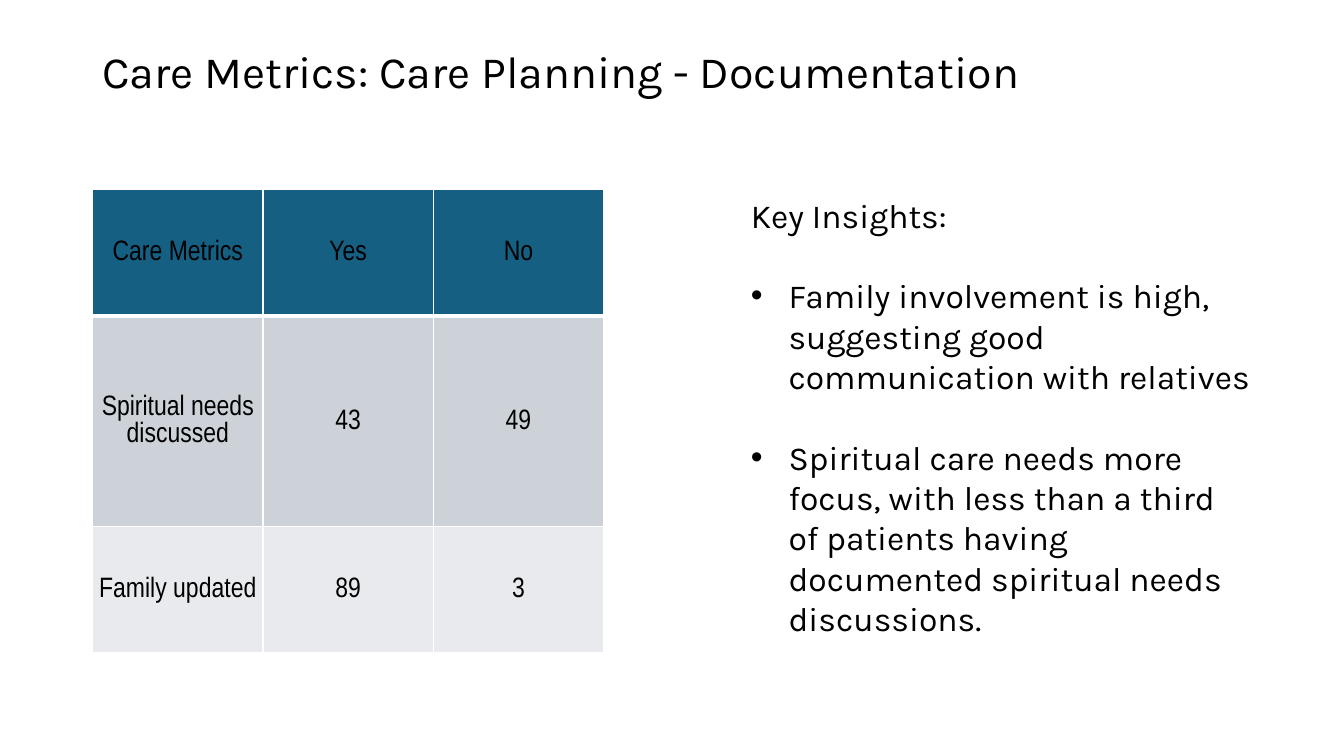
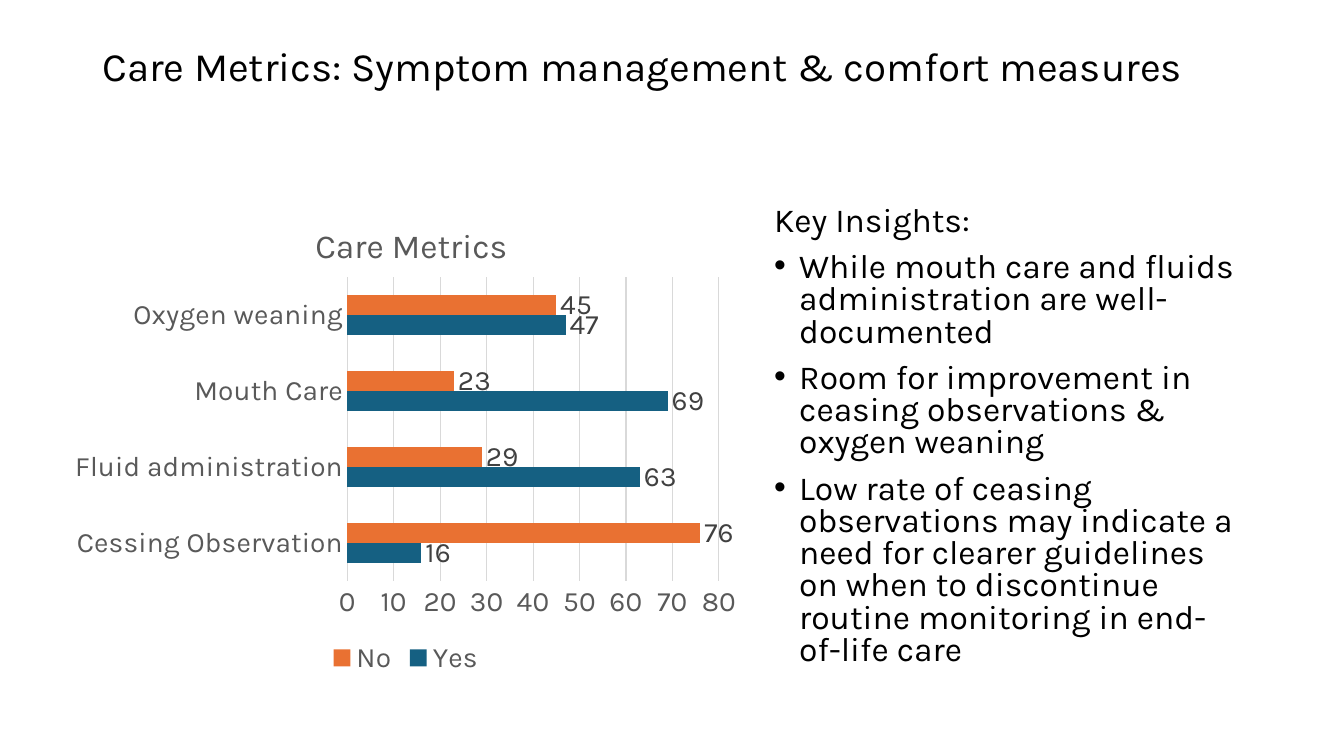
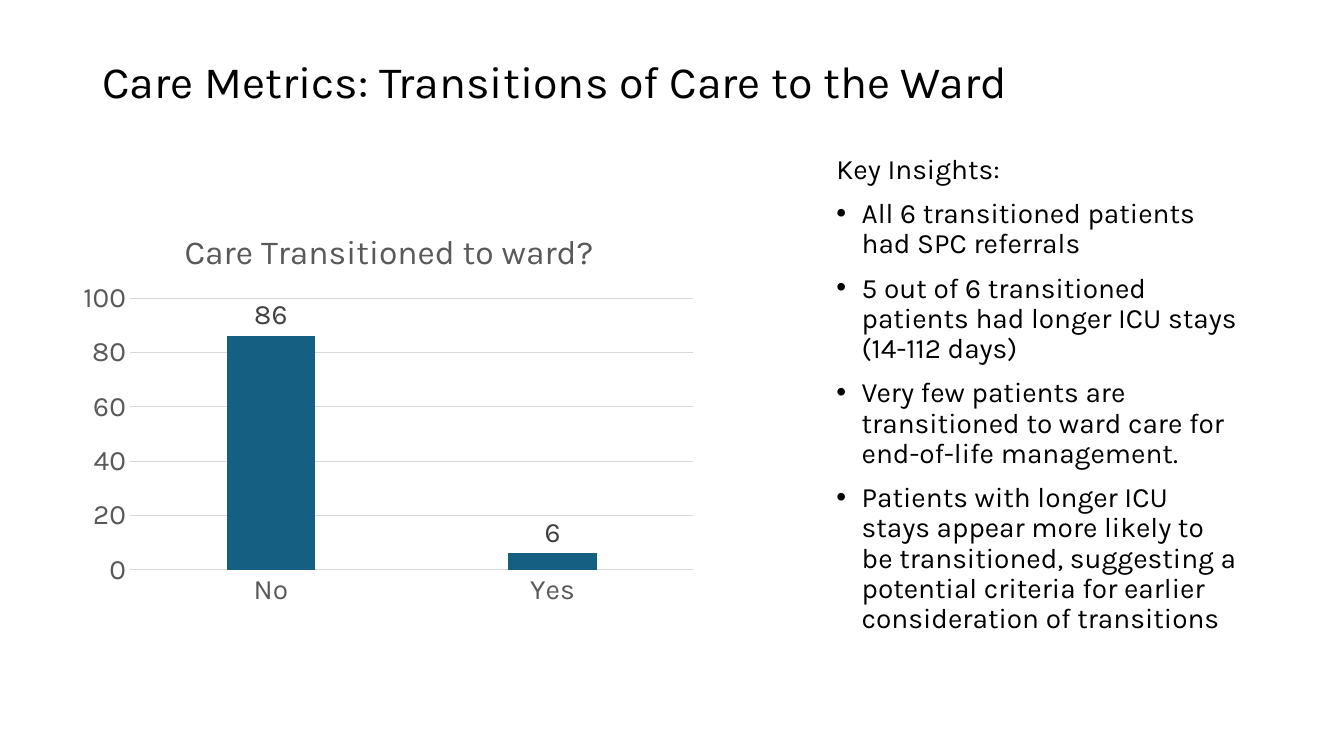
import dataclasses

import lxml.etree
import pptx
import pptx.chart.data
import pptx.dml.color
import pptx.enum.chart
import pptx.enum.text
import pptx.oxml.ns
import pptx.util

Pt = pptx.util.Pt
qn = pptx.oxml.ns.qn


def rgb(code):
    return pptx.dml.color.RGBColor.from_string(code)


@dataclasses.dataclass(frozen=True)
class Theme:
    text: str = "000000"
    muted: str = "595959"
    label: str = "404040"
    grid: str = "D9D9D9"
    white: str = "FFFFFF"
    blue: str = "156082"
    orange: str = "E97132"
    bands: tuple = ("CCD2D8", "E8EAED")
    body_font: str = "Karla"
    table_font: str = "Arial Narrow"
    title_size: float = 32
    small_title_size: float = 28.8
    large_size: float = 24
    small_size: float = 20


THEME = Theme()


@dataclasses.dataclass(frozen=True)
class Box:
    left: float
    top: float
    width: float
    height: float

    def lengths(self):
        return [Pt(value) for value in dataclasses.astuple(self)]


def style_font(font, size, color=THEME.text, name=THEME.body_font):
    font.name = name
    font.size = Pt(size)
    font.bold = False
    font.color.rgb = rgb(color)


def add_titled_slide(deck, heading, height, size=THEME.title_size):
    slide = deck.slides.add_slide(deck.slide_layouts[5])
    title = slide.shapes.title
    title.left, title.top, title.width, title.height = Box(66, 28.8, 828, height).lengths()
    frame = title.text_frame
    frame.text = heading
    frame.word_wrap = True
    frame.auto_size = pptx.enum.text.MSO_AUTO_SIZE.NONE
    frame.vertical_anchor = pptx.enum.text.MSO_ANCHOR.MIDDLE
    paragraph = frame.paragraphs[0]
    paragraph.alignment = pptx.enum.text.PP_ALIGN.LEFT
    paragraph.line_spacing = 0.9
    style_font(paragraph.font, size)
    return slide


def add_bullet(paragraph, indent):
    properties = paragraph._p.get_or_add_pPr()
    properties.set("marL", str(Pt(indent)))
    properties.set("indent", str(-Pt(indent)))
    lxml.etree.SubElement(properties, qn("a:buFont"), typeface="Arial")
    lxml.etree.SubElement(properties, qn("a:buChar"), char="•")


def add_insights(slide, box, insights, size, line_spacing, gap, indent=18):
    """Place the "Key Insights:" heading and its bullets in the box."""
    frame = slide.shapes.add_textbox(*box.lengths()).text_frame
    frame.word_wrap = True
    for index, text in enumerate(["Key Insights:", *insights]):
        paragraph = frame.add_paragraph() if index else frame.paragraphs[0]
        paragraph.text = text
        paragraph.line_spacing = line_spacing
        if index:
            paragraph.space_before = Pt(gap)
            add_bullet(paragraph, indent)
        style_font(paragraph.font, size)


def add_cell_border(cell, side, width):
    line = lxml.etree.SubElement(
        cell._tc.get_or_add_tcPr(), qn(f"a:ln{side}"), w=str(Pt(width)))
    fill = lxml.etree.SubElement(line, qn("a:solidFill"))
    lxml.etree.SubElement(fill, qn("a:srgbClr"), val=THEME.white)


def style_cell(cell, text, fill, top_border, bottom_border):
    cell.text = text
    cell.vertical_anchor = pptx.enum.text.MSO_ANCHOR.MIDDLE
    cell.margin_left = cell.margin_right = cell.margin_top = Pt(0.72)
    cell.margin_bottom = 0
    for side, width in zip("LRTB", (1, 1, top_border, bottom_border)):
        add_cell_border(cell, side, width)
    cell.fill.solid()
    cell.fill.fore_color.rgb = rgb(fill)
    paragraph = cell.text_frame.paragraphs[0]
    paragraph.alignment = pptx.enum.text.PP_ALIGN.CENTER
    style_font(paragraph.font, THEME.small_size, name=THEME.table_font)


def add_metrics_table(slide, box, rows, row_shares):
    """Place a table with a header row; row_shares divide the box height."""
    columns = len(rows[0])
    table = slide.shapes.add_table(len(rows), columns, *box.lengths()).table
    table.first_row = table.horz_banding = False
    for column in table.columns:
        column.width = Pt(box.width / columns)
    for index, (texts, share) in enumerate(zip(rows, row_shares)):
        table.rows[index].height = Pt(box.height * share / sum(row_shares))
        fill = THEME.bands[(index - 1) % 2] if index else THEME.blue
        for column, text in enumerate(texts):
            style_cell(table.cell(index, column), text, fill,
                       top_border=3 if index == 1 else 1,
                       bottom_border=1 if index else 3)


def set_layout(parent, position, **fractions):
    """Fix a chart part at fractions of the chart's size."""
    for old in parent.findall(qn("c:layout")):
        parent.remove(old)
    layout = lxml.etree.Element(qn("c:layout"))
    parent.insert(position, layout)
    manual = lxml.etree.SubElement(layout, qn("c:manualLayout"))
    if "w" in fractions:
        lxml.etree.SubElement(manual, qn("c:layoutTarget"), val="inner")
    for axis in "xy":
        lxml.etree.SubElement(manual, qn(f"c:{axis}Mode"), val="edge")
    for key, value in fractions.items():
        lxml.etree.SubElement(manual, qn(f"c:{key}"), val=str(value))


def style_axes(chart, maximum, step):
    for axis in (chart.category_axis, chart.value_axis):
        axis.major_tick_mark = axis.minor_tick_mark = pptx.enum.chart.XL_TICK_MARK.NONE
        style_font(axis.tick_labels.font, THEME.small_size, THEME.muted)
    chart.category_axis.format.line.color.rgb = rgb(THEME.grid)
    chart.category_axis.format.line.width = Pt(0.75)
    values = chart.value_axis
    values.minimum_scale, values.maximum_scale, values.major_unit = 0, maximum, step
    values.format.line.fill.background()
    values.has_major_gridlines = True
    values.major_gridlines.format.line.color.rgb = rgb(THEME.grid)
    values.major_gridlines.format.line.width = Pt(0.75)


def style_series(series, color):
    series.format.fill.solid()
    series.format.fill.fore_color.rgb = rgb(color)
    series.invert_if_negative = False
    labels = series.data_labels
    labels.show_value = True
    labels.position = pptx.enum.chart.XL_LABEL_POSITION.OUTSIDE_END
    style_font(labels.font, THEME.small_size, THEME.label)


def add_metrics_chart(slide, box, kind, heading, categories, series, scale,
                      gap, overlap, title_at, plot_at):
    """Place a bar or column chart; scale is the axis maximum and step."""
    data = pptx.chart.data.CategoryChartData()
    data.categories = categories
    for name, values in series.items():
        data.add_series(name, values)
    chart = slide.shapes.add_chart(kind, *box.lengths(), data).chart
    style_font(chart.font, THEME.small_size)

    chart.has_title = True
    title = chart.chart_title
    title.text_frame.text = heading
    style_font(title.text_frame.paragraphs[0].font, THEME.large_size, THEME.muted)
    set_layout(title._element, 1, **title_at)
    set_layout(chart._chartSpace.chart.plotArea, 0, **plot_at)

    style_axes(chart, *scale)
    plot = chart.plots[0]
    plot.vary_by_categories = False
    plot.gap_width, plot.overlap = gap, overlap
    for part, color in zip(plot.series, (THEME.blue, THEME.orange)):
        style_series(part, color)

    chart.has_legend = len(series) > 1
    if chart.has_legend:
        chart.legend.position = pptx.enum.chart.XL_LEGEND_POSITION.BOTTOM
        chart.legend.include_in_layout = False
        style_font(chart.legend.font, THEME.small_size, THEME.muted)


def build_documentation(deck):
    slide = add_titled_slide(deck, "Care Metrics: Care Planning - Documentation", 47.5)
    add_metrics_table(slide, Box(66.2, 135.4, 365, 331), [
        ("Care Metrics", "Yes", "No"),
        ("Spiritual needs discussed", "43", "49"),
        ("Family updated", "89", "3"),
    ], row_shares=(3, 5, 3))
    add_insights(slide, Box(529.2, 135.4, 372.2, 298), [
        "Family involvement is high, suggesting good communication with relatives",
        "Spiritual care needs more focus, with less than a third of patients having "
        "documented spiritual needs discussions.",
    ], THEME.large_size, line_spacing=1, gap=28.8, indent=27)


def build_symptoms(deck):
    slide = add_titled_slide(deck, "Care Metrics: Symptom management & comfort measures",
                             40.3, THEME.small_title_size)
    add_insights(slide, Box(545.8, 144, 347.8, 342.7), [
        "While mouth care and fluids administration are well-documented",
        "Room for improvement in ceasing observations & oxygen weaning",
        "Low rate of ceasing observations may indicate a need for clearer guidelines "
        "on when to discontinue routine monitoring in end-of-life care",
    ], THEME.large_size, line_spacing=0.8, gap=10)
    add_metrics_chart(
        slide, Box(43.9, 138.2, 491.8, 347.8),
        pptx.enum.chart.XL_CHART_TYPE.BAR_CLUSTERED, "Care Metrics",
        ["Cessing Observation", "Fluid administration", "Mouth Care", "Oxygen weaning"],
        {"Yes": (16, 63, 69, 47), "No": (76, 29, 23, 45)},
        scale=(80, 10), gap=182, overlap=0,
        title_at={"x": 0.36, "y": 0.05},
        plot_at={"x": 0.415, "y": 0.172, "w": 0.54, "h": 0.624})


def build_transitions(deck):
    slide = add_titled_slide(deck, "Care Metrics: Transitions of Care to the Ward", 61.9)
    add_insights(slide, Box(590.4, 107.3, 303.1, 379.4), [
        "All 6 transitioned patients had SPC referrals",
        "5 out of 6 transitioned patients had longer ICU stays (14-112 days)",
        "Very few patients are transitioned to ward care for end-of-life management.",
        "Patients with longer ICU stays appear more likely to be transitioned, "
        "suggesting a potential criteria for earlier consideration of transitions",
    ], THEME.small_size, line_spacing=0.9, gap=10)
    add_metrics_chart(
        slide, Box(50.4, 144, 453.6, 295.9),
        pptx.enum.chart.XL_CHART_TYPE.COLUMN_CLUSTERED, "Care Transitioned to ward?",
        ["No", "Yes"], {"Series 1": (86, 6)},
        scale=(100, 20), gap=219, overlap=-27,
        title_at={"x": 0.17, "y": 0.055},
        plot_at={"x": 0.094, "y": 0.233, "w": 0.887, "h": 0.656})


def main():
    deck = pptx.Presentation()
    deck.slide_width, deck.slide_height = Pt(960), Pt(540)
    build_documentation(deck)
    build_symptoms(deck)
    build_transitions(deck)
    deck.save("out.pptx")


if __name__ == "__main__":
    main()
